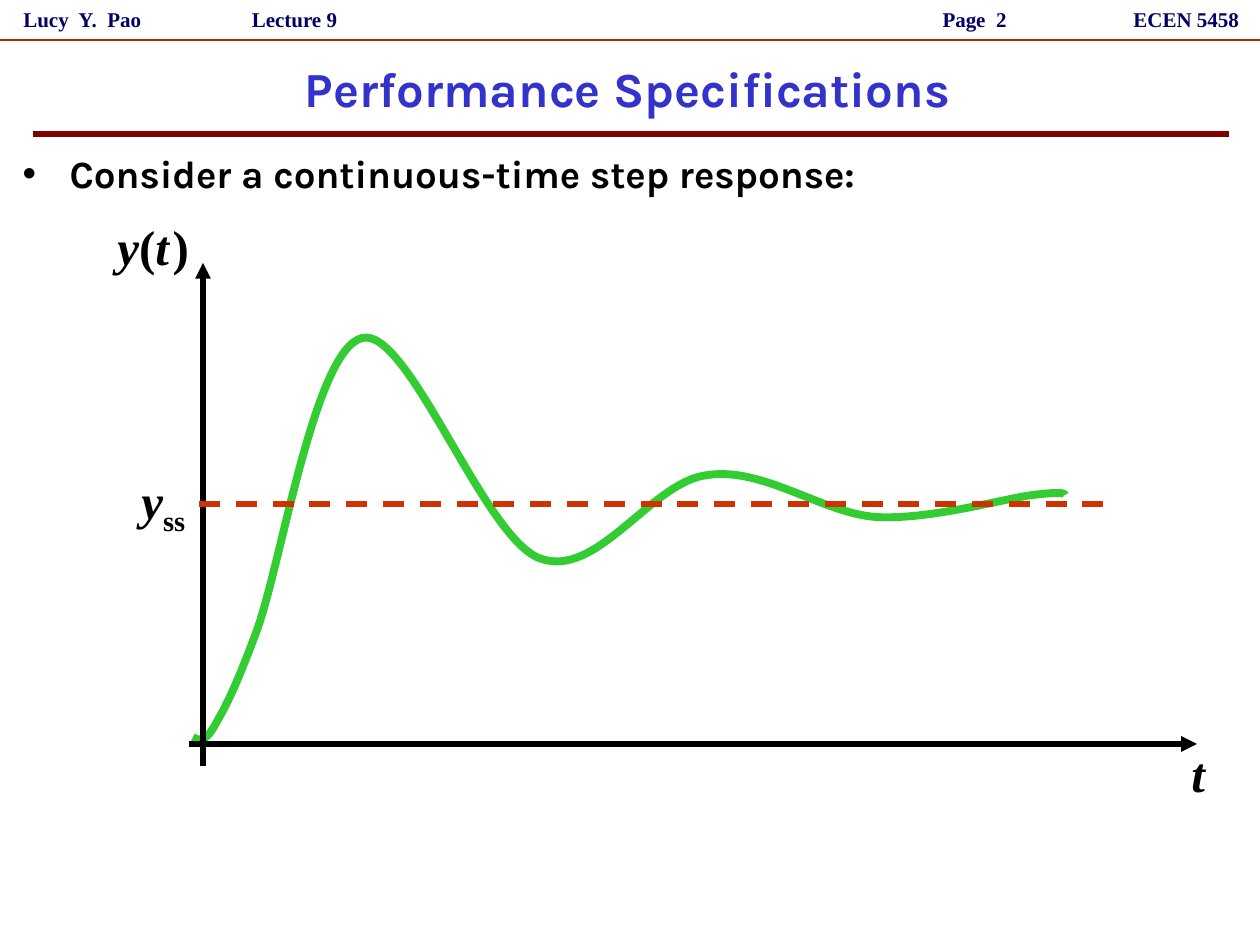
"""Build a lecture slide showing a continuous-time step response."""
from dataclasses import dataclass

from lxml import etree
from pptx import Presentation
from pptx.dml.color import RGBColor
from pptx.enum.dml import MSO_LINE
from pptx.enum.shapes import MSO_CONNECTOR
from pptx.enum.text import MSO_ANCHOR, MSO_AUTO_SIZE, PP_ALIGN
from pptx.oxml.ns import qn
from pptx.util import Emu, Pt

PX = 914400 / 126
NAVY = RGBColor(0x00, 0x00, 0x66)
BROWN = RGBColor(0x99, 0x33, 0x00)
BLUE = RGBColor(0x33, 0x33, 0xCC)
MAROON = RGBColor(0x80, 0x00, 0x00)
GREEN = RGBColor(0x33, 0xCC, 0x33)
RED = RGBColor(0xCC, 0x33, 0x00)
BLACK = RGBColor(0x00, 0x00, 0x00)
LEFT, CENTER, RIGHT = PP_ALIGN.LEFT, PP_ALIGN.CENTER, PP_ALIGN.RIGHT
MIDDLE, TOP = MSO_ANCHOR.MIDDLE, MSO_ANCHOR.TOP
NO_FIT, FIT_SHAPE = MSO_AUTO_SIZE.NONE, MSO_AUTO_SIZE.SHAPE_TO_FIT_TEXT
DASH = MSO_LINE.DASH
STRAIGHT = MSO_CONNECTOR.STRAIGHT
SERIF, SANS = "Times New Roman", "Karla"


@dataclass(frozen=True)
class Piece:
    """A stretch of label text with its own style."""
    text: str
    italic: bool = False
    size: int | None = None
    subscript: bool = False


@dataclass(frozen=True)
class Label:
    """A serif text box, measured in px."""
    left: int
    top: int
    width: int
    height: int
    pieces: tuple[Piece, ...]
    size: int = 28
    color: RGBColor = BLACK
    align: PP_ALIGN = LEFT
    anchor: MSO_ANCHOR = TOP
    wrap: bool = False


@dataclass(frozen=True)
class Rule:
    """A straight line between two px points."""
    start: tuple[int, int]
    end: tuple[int, int]
    color: RGBColor
    weight: float
    arrow: bool = False
    dashed: bool = False


def header(left: int, width: int, text: str, align: PP_ALIGN = LEFT) -> Label:
    """Describe one entry of the running header."""
    return Label(left, 0, width, 38, (Piece(text),), 12, NAVY, align, MIDDLE, True)


HEADERS = (
    header(11, 179, "Lucy  Y.  Pao"),
    header(1121, 132, "ECEN 5458"),
    header(208, 173, "Lecture 9", CENTER),
    header(812, 207, "Page  2", RIGHT),
)
HEADER_RULE = Rule((0, 40), (1260, 40), BROWN, 1.5)
TITLE_RULE = Rule((33, 134), (1229, 134), MAROON, 3)
AXES = (
    Rule((189, 744), (1197, 744), BLACK, 3, arrow=True),
    Rule((203, 766), (203, 263), BLACK, 3, arrow=True),
)
STEADY_STATE = Rule((199, 504), (1112, 504), RED, 3, dashed=True)
AXIS_LABELS = (
    Label(1179, 737, 39, 72, (Piece("t", True),)),
    Label(105, 210, 110, 72, (Piece("y", True), Piece("("), Piece("t", True),
                              Piece(" ", True, 8), Piece(")")), wrap=True),
    Label(129, 464, 69, 79, (Piece("y", True), Piece("ss", subscript=True))),
)
RESPONSE_START = (193, 737)
RESPONSE_CURVES = (
    ((199, 741), (204, 743), (214, 727)),
    ((224, 709), (232, 697), (256, 633)),
    ((281, 567), (314, 350), (362, 338)),
    ((408, 326), (483, 536), (539, 558)),
    ((597, 581), (651, 481), (708, 475)),
    ((764, 467), (822, 513), (876, 517)),
    ((930, 520), (1002, 499), (1033, 495)),
    ((1065, 491), (1065, 494), (1065, 495)),
)


def px(value: int) -> Emu:
    """Turn px into EMU."""
    return Emu(round(value * PX))


def place(shape, left: int, top: int, width: int, height: int) -> None:
    """Move and size a shape in px."""
    shape.left, shape.top = px(left), px(top)
    shape.width, shape.height = px(width), px(height)


def set_font(para, name: str, size: int, color: RGBColor) -> None:
    """Give a paragraph its bold font."""
    font = para.font
    font.name, font.size, font.bold = name, Pt(size), True
    font.color.rgb = color


def add_label(slide, label: Label) -> None:
    """Draw a serif text box."""
    box = slide.shapes.add_textbox(
        px(label.left), px(label.top), px(label.width), px(label.height))
    frame = box.text_frame
    frame.word_wrap = label.wrap
    frame.auto_size = FIT_SHAPE
    frame.vertical_anchor = label.anchor
    para = frame.paragraphs[0]
    para.alignment = label.align
    set_font(para, SERIF, label.size, label.color)
    for piece in label.pieces:
        span = para.add_run()
        span.text = piece.text
        span.font.italic = piece.italic
        if piece.size:
            span.font.size = Pt(piece.size)
        if piece.subscript:
            span.font._element.set("baseline", "-25000")


def add_rule(slide, rule: Rule) -> None:
    """Draw a straight line, dashed or with an arrowhead if asked."""
    line = slide.shapes.add_connector(
        STRAIGHT, *map(px, rule.start), *map(px, rule.end))
    line.line.color.rgb = rule.color
    line.line.width = Pt(rule.weight)
    if rule.dashed:
        line.line.dash_style = DASH
    if rule.arrow:
        etree.SubElement(line.line._get_or_add_ln(), qn("a:tailEnd"), type="triangle")
    etree.SubElement(line._element.spPr, qn("a:effectLst"))


def add_response(slide) -> None:
    """Draw the step response as a chain of cubic curves."""
    ends = [curve[-1] for curve in RESPONSE_CURVES]
    builder = slide.shapes.build_freeform(*RESPONSE_START, scale=PX)
    builder.add_line_segments(ends, close=False)
    response = builder.convert_to_shape()
    left, top = (min(values) for values in zip(RESPONSE_START, *ends))
    segments = list(response._element.iter(qn("a:lnTo")))
    for segment, curve in zip(segments, RESPONSE_CURVES):
        cubic = etree.Element(qn("a:cubicBezTo"))
        for x, y in curve:
            etree.SubElement(cubic, qn("a:pt"), x=str(x - left), y=str(y - top))
        segment.getparent().replace(segment, cubic)
    response.shadow.inherit = False
    response.fill.background()
    response.line.color.rgb = GREEN
    response.line.width = Pt(4.5)


def fill_title(title) -> None:
    """Write the slide title."""
    place(title, 37, 44, 1181, 88)
    frame = title.text_frame
    frame.text = "Performance Specifications"
    frame.auto_size = NO_FIT
    frame.vertical_anchor = MIDDLE
    para = frame.paragraphs[0]
    para.alignment = CENTER
    set_font(para, SANS, 28, BLUE)


def fill_body(body) -> None:
    """Write the bulleted statement."""
    place(body, 10, 144, 1164, 319)
    frame = body.text_frame
    frame.text = "Consider a continuous-time step response:"
    frame.auto_size = NO_FIT
    para = frame.paragraphs[0]
    para.space_before = Pt(0)
    properties = para._p.get_or_add_pPr()
    properties.set("marL", str(px(47)))
    properties.set("indent", str(px(-47)))
    etree.SubElement(properties, qn("a:buChar"), char="•")
    set_font(para, SANS, 22, BLACK)


def main() -> None:
    """Build and save the deck."""
    deck = Presentation()
    deck.slide_width, deck.slide_height = px(1260), px(945)
    page = deck.slides.add_slide(deck.slide_layouts[1])
    for label in HEADERS:
        add_label(page, label)
    add_rule(page, HEADER_RULE)
    add_response(page)
    fill_title(page.shapes.title)
    fill_body(page.placeholders[1])
    for rule in (TITLE_RULE, *AXES, STEADY_STATE):
        add_rule(page, rule)
    for label in AXIS_LABELS:
        add_label(page, label)
    deck.save("out.pptx")


if __name__ == "__main__":
    main()
